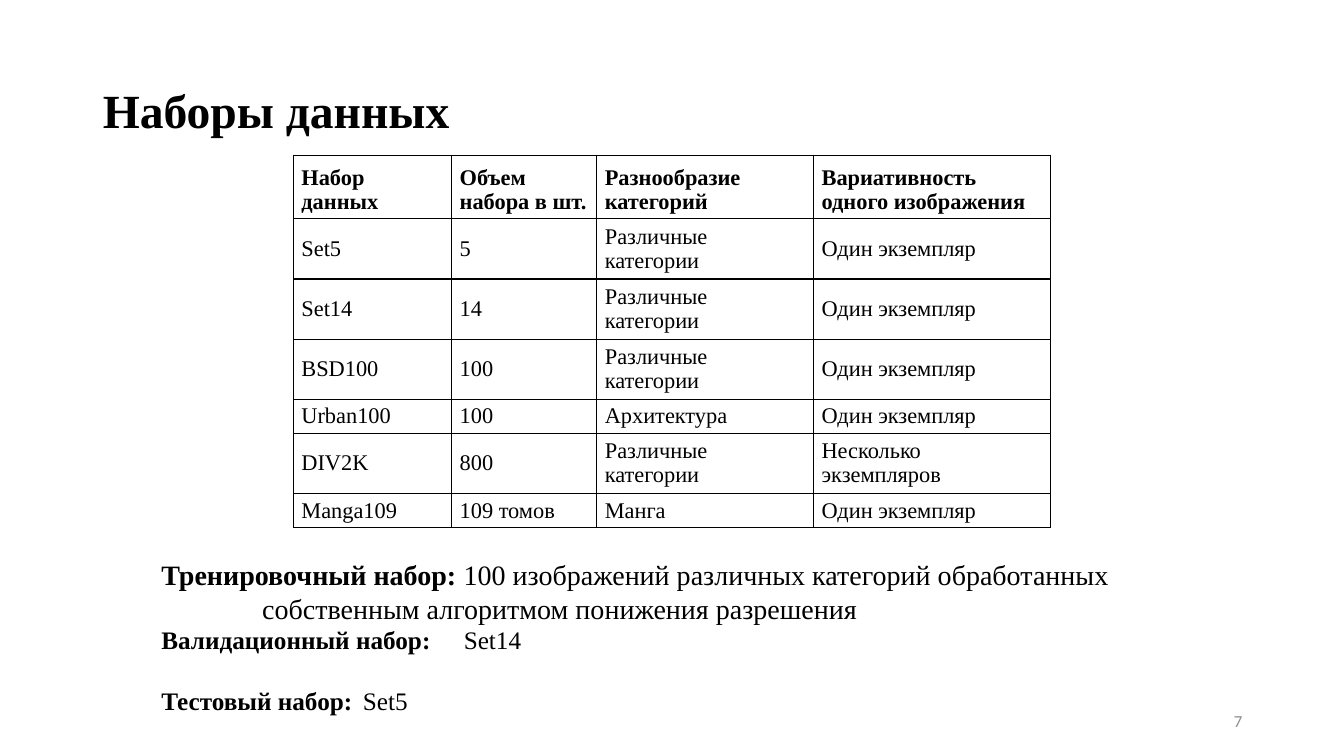
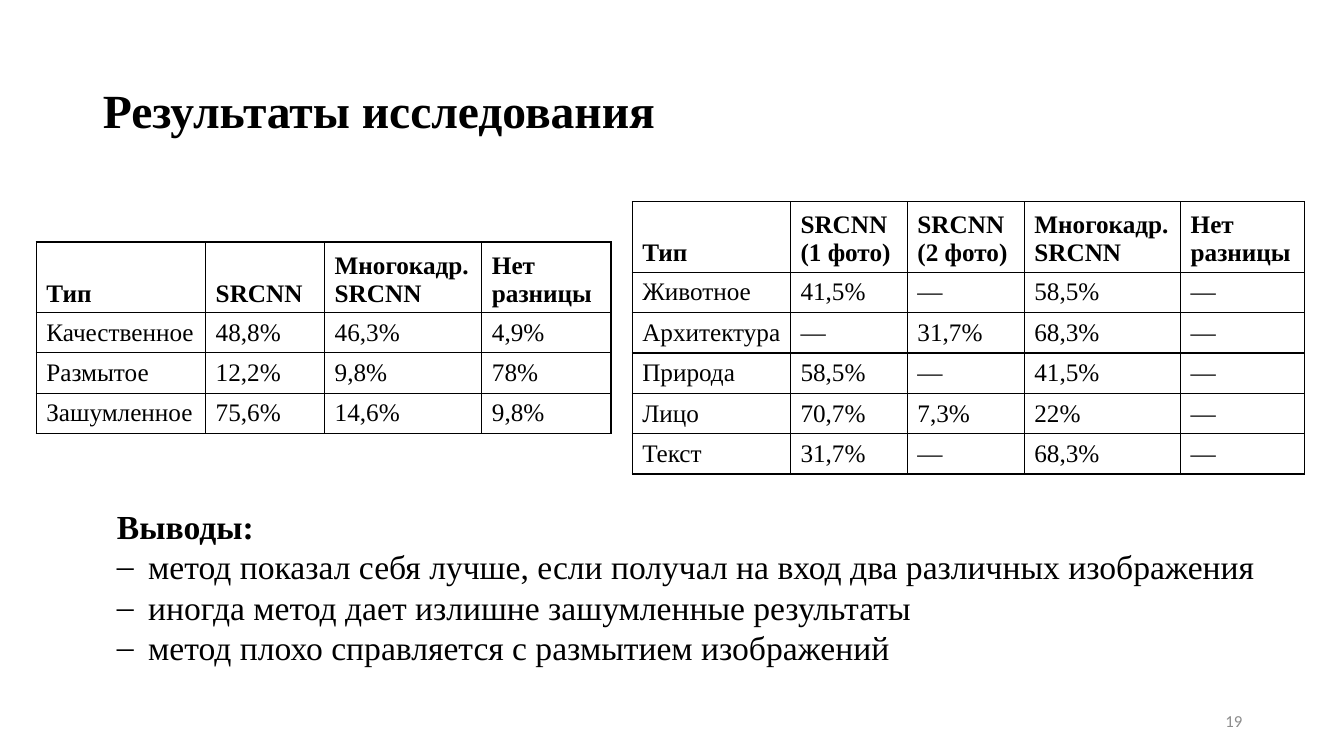
from dataclasses import dataclass

from lxml import etree
from pptx import Presentation
from pptx.dml.color import RGBColor
from pptx.enum import text
from pptx.oxml import ns
from pptx.util import Inches, Pt


@dataclass(frozen=True)
class Theme:
    serif: str = "Times New Roman"
    sans: str = "Calibri"
    ink: str = "000000"
    muted: str = "8C8C8C"
    title: int = 34
    conclusions: int = 24
    lead: int = 20
    base: int = 18
    compact: int = 16
    number: int = 12


THEME = Theme()
TITLE_BOX = (0.92, 0.4, 11.5, 1.45)
NUMBER_BOX = (9.42, 6.95, 3, 0.4)
VARIOUS, SINGLE, NONE = "Различные категории", "Один экземпляр", "―"

DATASETS = dict(
    at=(2.91, 1.54), cols=(1.57, 1.44, 2.15, 2.35),
    heights=(0.63, 0.58, 0.58, 0.58, 0.33, 0.58, 0.33),
    size=THEME.compact, inset=(0.08, 0.04), spacing=0.97,
    rows=[
        ("Набор данных", "Объем набора в шт.", "Разнообразие категорий",
         "Вариативность одного изображения"),
        ("Set5", "5", VARIOUS, SINGLE),
        ("Set14", "14", VARIOUS, SINGLE),
        ("BSD100", "100", VARIOUS, SINGLE),
        ("Urban100", "100", "Архитектура", SINGLE),
        ("DIV2K", "800", VARIOUS, "Несколько экземпляров"),
        ("Manga109", "109 томов", "Манга", SINGLE),
    ])

SUBJECTS = dict(
    at=(6.27, 2), cols=(1.57, 1.16, 1.16, 1.55, 1.23),
    heights=(0.7,) + (0.4,) * 5,
    rows=[
        ("Тип", "SRCNN (1 фото)", "SRCNN (2 фото)", "Многокадр. SRCNN", "Нет разницы"),
        ("Животное", "41,5%", NONE, "58,5%", NONE),
        ("Архитектура", NONE, "31,7%", "68,3%", NONE),
        ("Природа", "58,5%", NONE, "41,5%", NONE),
        ("Лицо", "70,7%", "7,3%", "22%", NONE),
        ("Текст", "31,7%", NONE, "68,3%", NONE),
    ])

QUALITY = dict(
    at=(0.36, 2.4), cols=(1.68, 1.18, 1.56, 1.28),
    heights=(0.7,) + (0.4,) * 3,
    rows=[
        ("Тип", "SRCNN", "Многокадр. SRCNN", "Нет разницы"),
        ("Качественное", "48,8%", "46,3%", "4,9%"),
        ("Размытое", "12,2%", "9,8%", "78%"),
        ("Зашумленное", "75,6%", "14,6%", "9,8%"),
    ])

DASH = dict(size=THEME.conclusions, hang=0.31, bullet="–")
SLIDES = [
    dict(title="Наборы данных", number="7", tables=[DATASETS],
         body_box=(1.5, 5.48, 10.33, 1.99),
         body=[
             dict(label="Тренировочный набор: ", size=THEME.lead, hang=1,
                  value="100 изображений различных категорий обработанных "
                        "собственным алгоритмом понижения разрешения"),
             dict(label="Валидационный набор:", value="\tSet14", tab=3),
             dict(label="Тестовый набор:", value="\tSet5", tab=3, before=22),
         ]),
    dict(title="Результаты исследования", number="19", tables=[SUBJECTS, QUALITY],
         body_box=(1.06, 4.97, 11.61, 1.72),
         body=[
             dict(label="Выводы:", size=THEME.conclusions),
             dict(value="метод показал себя лучше, если получал на вход "
                        "два различных изображения", **DASH),
             dict(value="иногда метод дает излишне зашумленные результаты", **DASH),
             dict(value="метод плохо справляется с размытием изображений", **DASH),
         ]),
]


def assign(target, **values):
    for name, value in values.items():
        setattr(target, name, value)


def place(sp, box):
    assign(sp, **dict(zip(("left", "top", "width", "height"), map(Inches, box))))


def add_run(p, words, size, bold=False, name=THEME.serif, color=THEME.ink):
    r = p.add_run()
    r.text = words
    assign(r.font, size=Pt(size), bold=bold, name=name)
    r.font.color.rgb = RGBColor.from_string(color)


def add_xml(parent, tag, **attrs):
    return etree.SubElement(parent, ns.qn(tag), {k: str(v) for k, v in attrs.items()})


def add_item(p, label="", value="", size=THEME.base, hang=0, bullet=None, tab=0, before=0):
    pPr = p._p.get_or_add_pPr()
    pPr.set("marL", str(Inches(hang)))
    pPr.set("indent", str(Inches(-hang)))
    if bullet:
        add_xml(pPr, "a:buFont", typeface=THEME.serif)
        add_xml(pPr, "a:buChar", char=bullet)
    else:
        add_xml(pPr, "a:buNone")
    if tab:
        add_xml(add_xml(pPr, "a:tabLst"), "a:tab", pos=Inches(tab), algn="l")
    p.space_before = Pt(before)
    for words, bold in ((label, True), (value, False)):
        if words:
            add_run(p, words, size, bold)


def add_body(sp, box, items):
    place(sp, box)
    tf = sp.text_frame
    assign(tf, auto_size=text.MSO_AUTO_SIZE.NONE, vertical_anchor=text.MSO_ANCHOR.TOP)
    for i, item in enumerate(items):
        add_item(tf.add_paragraph() if i else tf.paragraphs[0], **item)


def add_borders(cell):
    tcPr = cell._tc.get_or_add_tcPr()
    for side in "LRTB":
        ln = add_xml(tcPr, f"a:ln{side}", w=Pt(1))
        add_xml(add_xml(ln, "a:solidFill"), "a:srgbClr", val=THEME.ink)


def add_grid(s, at, cols, heights, rows, size=THEME.base, inset=(0.1, 0.05), spacing=1.0):
    box = (*at, sum(cols), sum(heights))
    table = s.shapes.add_table(len(rows), len(cols), *map(Inches, box)).table
    assign(table, first_row=False, horz_banding=False)
    for column, width in zip(table.columns, cols):
        column.width = Inches(width)
    side, edge = map(Inches, inset)
    anchors = text.MSO_ANCHOR
    for i, (row, height, words) in enumerate(zip(table.rows, heights, rows)):
        row.height = Inches(height)
        for cell, word in zip(row.cells, words):
            assign(cell, margin_left=side, margin_right=side, margin_top=edge,
                   margin_bottom=edge,
                   vertical_anchor=anchors.MIDDLE if i else anchors.BOTTOM)
            add_borders(cell)
            cell.fill.background()
            p = cell.text_frame.paragraphs[0]
            p.line_spacing = spacing
            add_run(p, word, size, bold=i == 0)


def add_title(sp, words):
    tf = sp.text_frame
    assign(tf, auto_size=text.MSO_AUTO_SIZE.NONE, vertical_anchor=text.MSO_ANCHOR.MIDDLE)
    p = tf.paragraphs[0]
    assign(p, alignment=text.PP_ALIGN.LEFT, line_spacing=0.9)
    add_run(p, words, THEME.title, bold=True)


def add_number(s, number):
    tf = s.shapes.add_textbox(*map(Inches, NUMBER_BOX)).text_frame
    assign(tf, word_wrap=True, vertical_anchor=text.MSO_ANCHOR.MIDDLE)
    p = tf.paragraphs[0]
    p.alignment = text.PP_ALIGN.RIGHT
    add_run(p, number, THEME.number, name=THEME.sans, color=THEME.muted)


def main():
    prs = Presentation()
    assign(prs, slide_width=Inches(13.33), slide_height=Inches(7.5))
    layout = prs.slide_layouts[1]
    place(layout.placeholders[0], TITLE_BOX)
    for content in SLIDES:
        s = prs.slides.add_slide(layout)
        add_title(s.shapes.title, content["title"])
        add_body(s.placeholders[1], content["body_box"], content["body"])
        add_number(s, content["number"])
        for grid in content["tables"]:
            add_grid(s, **grid)
    prs.save("out.pptx")


if __name__ == "__main__":
    main()
